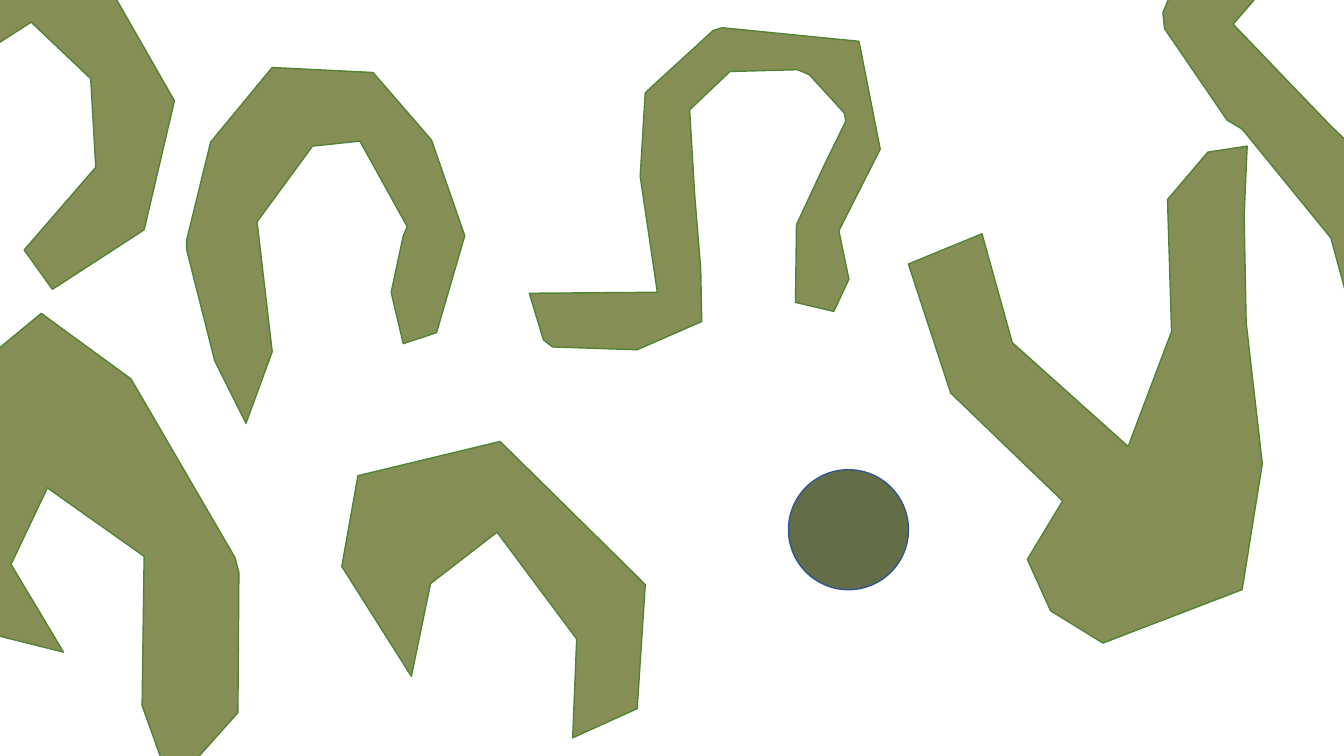
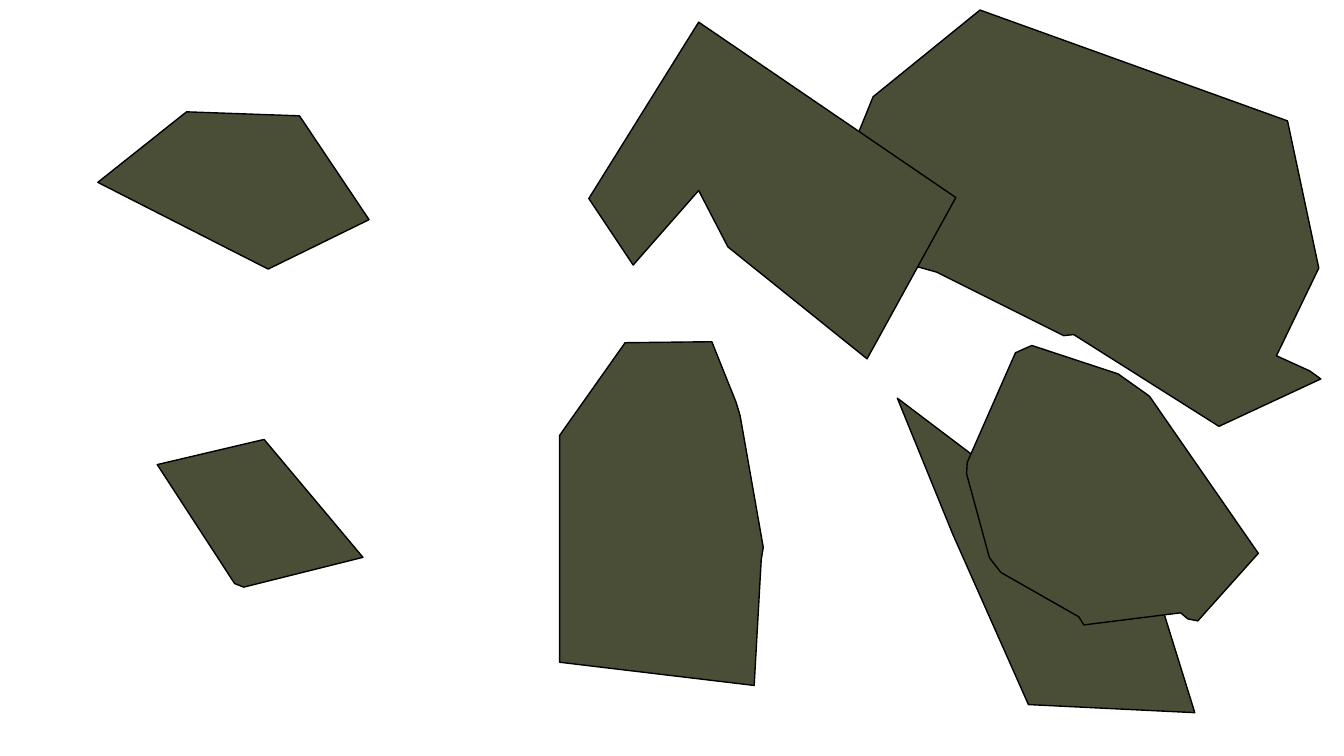
import dataclasses
import math

import pptx
import pptx.dml.color
import pptx.enum.shapes
import pptx.util

Inches = pptx.util.Inches

COLORS = {
    "olive": "858E55",
    "leaf edge": "548235",
    "moss": "646E46",
    "blue edge": "325491",
    "dark olive": "4B4E37",
    "black": "000000",
}
SLIDE_BOX = (0, 0, 13.33, 7.5)


@dataclasses.dataclass
class Figure:
    """A closed outline with its own place in a region, in inches.

    A corner is (x, y), or (x, y, cut) to bevel it by that length.
    The outer and inner edges run the same way, from one foot to the other.
    A solid figure has no inner edge.
    """
    place: tuple
    outer: list
    inner: list = dataclasses.field(default_factory=list)

    def corners(self):
        """Go out along the outer edge and come back along the inner one."""
        ring = self.outer + self.inner[::-1]
        for index, (x, y, *cut) in enumerate(ring):
            if cut:
                before, after = ring[index - 1], ring[(index + 1) % len(ring)]
                yield toward((x, y), before, cut[0])
                yield toward((x, y), after, cut[0])
            else:
                yield x, y


def toward(start, goal, length):
    """Move from start to goal by the given length."""
    share = length / math.dist(start, goal[:2])
    return tuple(a + (b - a) * share for a, b in zip(start, goal))


# Bands bent into arches, hooks and a fork
ARCHES = {
    "tall arch": Figure(
        place=(1.84, 0.67),
        outer=[(0.6, 3.53), (0.29, 2.91), (0, 1.76, 0.05), (0.25, 0.74),
               (0.86, 0), (1.86, 0.05), (2.44, 0.72), (2.77, 1.67),
               (2.49, 2.63), (2.16, 2.74)],
        inner=[(0.86, 2.82), (0.71, 1.53), (1.26, 0.78), (1.73, 0.73),
               (2.2, 1.58), (2.16, 1.67), (2.04, 2.23)]),
    "lower left arch": Figure(
        place=(-0.81, 3.11),
        outer=[(1.44, 3.36), (0.48, 3.12), (0, 2.16), (0.14, 0.89),
               (1.22, 0), (2.11, 0.65), (3.18, 2.49, 0.08), (3.17, 3.96),
               (2.51, 4.7)],
        inner=[(0.92, 2.49), (1.28, 1.73), (2.24, 2.41), (2.22, 3.89)]),
    "lower arch": Figure(
        place=(3.39, 4.38),
        outer=[(0.69, 2.33), (0, 1.24), (0.16, 0.34), (1.57, 0),
               (3.01, 1.42), (2.93, 2.65), (2.29, 2.94)],
        inner=[(0.88, 1.41), (1.54, 0.9), (2.33, 1.96)]),
    "upper left hook": Figure(
        place=(-0.41, -0.61),
        outer=[(0, 1.29), (0.29, 0.2), (1.22, 0), (2.14, 1.61),
               (1.84, 2.89), (0.93, 3.48)],
        inner=[(0.72, 0.83), (1.31, 1.39), (1.36, 2.27), (0.65, 3.09)]),
    "upper right hook": Figure(
        place=(11.5, -2.02),
        outer=[(4.02, 0), (2.62, 0.24), (0.42, 1.21, 0.09), (0, 2.23, 0.09),
               (0.67, 3.21), (0.82, 3.3), (1.7, 4.38), (2.2, 6.22)],
        inner=[(4.09, 0.63), (2.93, 0.82), (1.51, 1.36), (0.73, 2.26),
               (1.69, 3.26), (2.63, 4.16), (3.09, 5.46)]),
    "fork": Figure(
        place=(9.01, 1.45),
        outer=[(0.73, 0.87), (0, 1.17), (0.42, 2.45), (1.53, 3.52),
               (1.18, 4.1), (1.41, 4.61), (1.93, 4.93), (3.31, 4.4),
               (3.51, 3.15), (3.35, 1.75), (3.33, 0.69), (3.36, 0),
               (2.97, 0.06), (2.57, 0.53)],
        inner=[(1.03, 1.95), (2.18, 2.98), (2.61, 1.84)]),
    "footed arch": Figure(
        place=(5.25, 0.27),
        outer=[(0, 2.64), (1.27, 2.63), (1.1, 1.48), (1.15, 0.65),
               (1.86, 0, 0.05), (3.27, 0.14), (3.48, 1.21), (3.07, 2.02),
               (3.17, 2.5), (3.02, 2.82)],
        inner=[(0.16, 3.17, 0.07), (1.07, 3.2), (1.71, 2.92), (1.7, 2.4),
               (1.64, 1.66), (1.59, 0.82), (1.99, 0.44), (2.73, 0.42, 0.07),
               (3.16, 0.89, 0.05), (2.92, 1.38), (2.65, 1.96), (2.64, 2.73)]),
}

# Solid stones
STONES = {
    "pentagon": Figure(
        place=(0.97, 1.11),
        outer=[(0, 0.7), (0.88, 0), (2, 0.04), (2.69, 1.07), (1.69, 1.56)]),
    "diamond": Figure(
        place=(1.56, 4.36),
        outer=[(0, 0.25), (1.06, 0), (2.04, 1.17), (0.8, 1.48, 0.06)]),
    "large slab": Figure(
        place=(8.01, 0.1),
        outer=[(0.65, 0.86), (1.71, 0), (4.76, 1.1), (5.07, 2.56),
               (4.65, 3.43), (4.98, 3.58), (5.09, 3.66), (4.08, 4.13),
               (2.64, 3.22), (2.54, 3.23), (1.2, 2.56, 0.09), (0, 2.46)]),
    "shard": Figure(
        place=(8.9, 3.95),
        outer=[(0, 0), (2.59, 1.96), (2.95, 3.12), (1.3, 3.04),
               (0.55, 1.35)]),
    "bent slab": Figure(
        place=(5.84, 0.22),
        outer=[(0, 1.75), (1.09, 0), (3.64, 1.74), (2.76, 3.34),
               (1.38, 2.23), (1.09, 1.67), (0.44, 2.41)]),
    "boulder": Figure(
        place=(9.57, 3.42),
        outer=[(0, 1.22, 0.06), (0.55, -0.03, 0.12), (1.52, 0.29),
               (1.83, 0.51), (2.91, 2.07), (2.31, 2.74), (2.21, 2.72),
               (2.14, 2.66), (1.18, 2.78), (1.13, 2.7), (0.27, 2.21, 0.1)]),
    "pillar": Figure(
        place=(5.55, 3.39),
        outer=[(0, 3.18), (1.93, 3.41), (2, 2.16), (2.02, 2.04),
               (1.79, 0.73), (1.75, 0.6), (1.51, 0), (0.65, 0.01),
               (0, 0.93)]),
}


def paint(shape, fill, edge):
    """Give a shape its flat fill and thin edge."""
    from_hex = pptx.dml.color.RGBColor.from_string
    shape.shadow.inherit = False
    shape.fill.solid()
    shape.fill.fore_color.rgb = from_hex(COLORS[fill])
    shape.line.color.rgb = from_hex(COLORS[edge])
    shape.line.width = pptx.util.Pt(1)


def add_figure(slide, box, figure, fill, edge):
    """Draw one figure at its place in the box."""
    left = box[0] + figure.place[0]
    top = box[1] + figure.place[1]
    first, *others = [(Inches(left + x), Inches(top + y))
                      for x, y in figure.corners()]
    builder = slide.shapes.build_freeform(*first)
    builder.add_line_segments(others, close=True)
    paint(builder.convert_to_shape(), fill, edge)


def add_ball(slide, box, x, y, diameter):
    """Draw the round ball at x, y in the box."""
    ball = slide.shapes.add_shape(
        pptx.enum.shapes.MSO_SHAPE.OVAL,
        Inches(box[0] + x), Inches(box[1] + y),
        Inches(diameter), Inches(diameter))
    paint(ball, "moss", "blue edge")


def add_figures_slide(deck, box, figures, fill, edge):
    """Add a blank slide with a family of figures in one colour."""
    slide = deck.slides.add_slide(deck.slide_layouts[6])
    for figure in figures.values():
        add_figure(slide, box, figure, fill, edge)
    return slide


def main():
    deck = pptx.Presentation()
    deck.slide_width, deck.slide_height = map(Inches, SLIDE_BOX[2:])

    # Arches around a ball
    arches = add_figures_slide(deck, SLIDE_BOX, ARCHES, "olive", "leaf edge")
    add_ball(arches, SLIDE_BOX, 7.82, 4.66, 1.19)

    # Stones
    add_figures_slide(deck, SLIDE_BOX, STONES, "dark olive", "black")

    deck.save("out.pptx")


if __name__ == "__main__":
    main()
